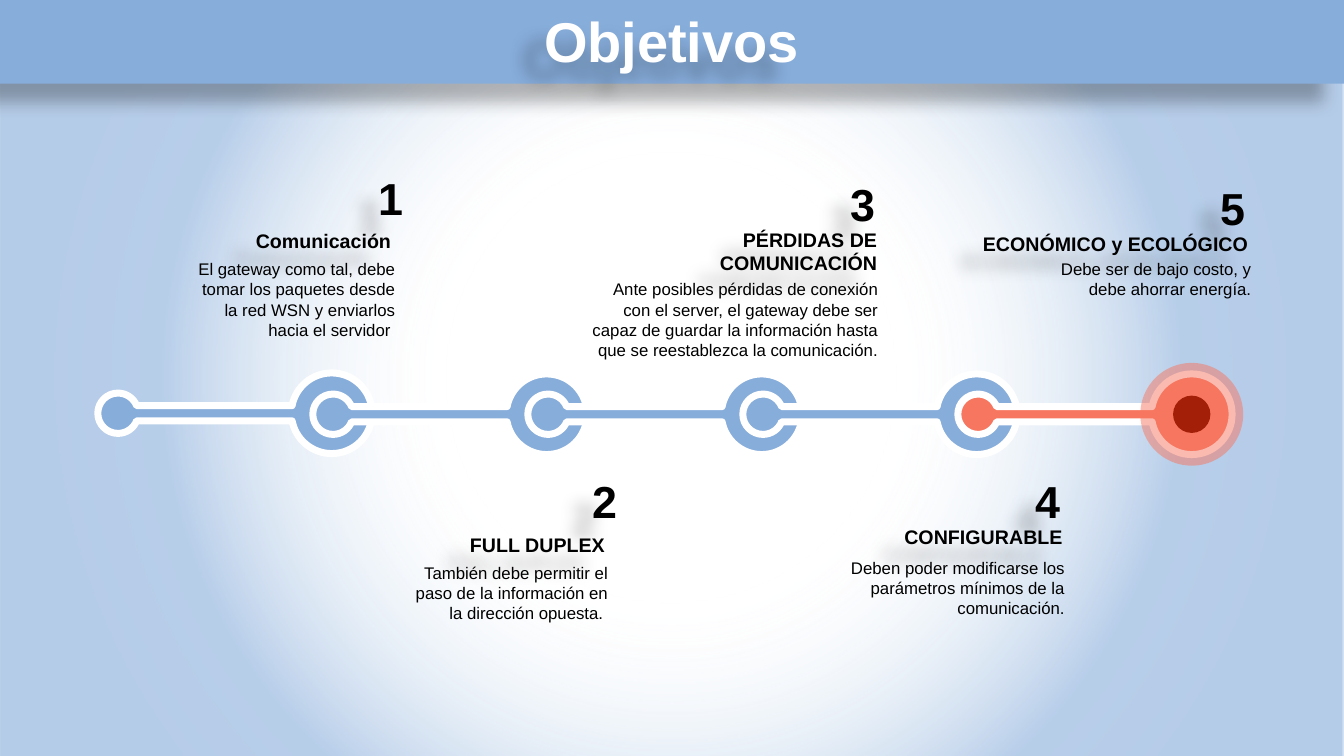
from math import asin, cos, pi, sin, tan

from pptx import Presentation
from pptx.dml.color import RGBColor
from pptx.enum.shapes import MSO_SHAPE as SHAPE
from pptx.enum.text import MSO_ANCHOR as ANCHOR, MSO_AUTO_SIZE as AUTO, PP_ALIGN as ALIGN
from pptx.oxml import parse_xml
from pptx.oxml.ns import nsdecls
from pptx.util import Inches, Pt

COLORS = {
    "pale": "F9FBFD",
    "blue": "87ADDB",
    "coral": "F77660",
    "dark_red": "A31F08",
    "white": "FFFFFF",
    "black": "000000",
}
FONT = "Arial"
HEADING_INSETS = (0.12, 0.05, 0.12, 0.05)
STEP = 8.53 / 4  # distance between timeline stages

# number, heading, body, white ending, heading box, number offset, body offset, body size
MILESTONES = [
    ("1", "Comunicación",
     "El gateway como tal, debe tomar los paquetes desde la red WSN y enviarlos hacia el servidor",
     ".", (1.82, 2.22, 2.18, 0.34), (0, -0.53), (0.03, 0.3), (2.17, 0.91)),
    ("2", "FULL DUPLEX",
     "También debe permitir el paso de la información en la dirección opuesta.",
     ".", (3.94, 5.24, 2.18, 0.34), (0, -0.54), (0.02, 0.29), (2.17, 0.71)),
    ("3", "PÉRDIDAS DE COMUNICACIÓN",
     "Ante posibles pérdidas de conexión con el server, el gateway debe ser capaz de "
     "guardar la información hasta que se reestablezca la comunicación.",
     "", (5.67, 2.21, 3.15, 0.74), (-0.14, -0.46), (0.01, 0.51), (3.13, 0.91)),
    ("4", "CONFIGURABLE",
     "Deben poder modificarse los parámetros mínimos de la comunicación.",
     "", (7.51, 5.16, 3.15, 0.34), (-0.14, -0.46), (0.02, 0.32), (3.13, 0.71)),
    ("5", "ECONÓMICO y ECOLÓGICO",
     "Debe ser de bajo costo, y debe ahorrar energía.",
     "", (9.35, 2.25, 3.15, 0.34), (-0.15, -0.46), (1.04, 0.27), (2.12, 0.5)),
]


def rgb(name):
    return RGBColor.from_string(COLORS[name])


def inches(box):
    return [Inches(v) for v in box]


def add_shadow(sp):
    sp.shadow.inherit = False
    effects = sp._element.spPr.find("{*}effectLst")
    effects.append(parse_xml(
        f'<a:outerShdw {nsdecls("a")} blurRad="{Pt(11.8)}" dist="{Pt(19.7)}" '
        f'dir="{141 * 60000}" algn="tr" rotWithShape="0"><a:srgbClr val="{COLORS["black"]}">'
        '<a:alpha val="28000"/></a:srgbClr></a:outerShdw>'))


def write_text(sp, text, size, color="black", bold=False, align=ALIGN.RIGHT,
               insets=(0.1, 0.05, 0.1, 0.05), shadow=False, ending=""):
    tf = sp.text_frame
    tf.word_wrap = True
    tf.auto_size = AUTO.SHAPE_TO_FIT_TEXT
    tf.vertical_anchor = ANCHOR.TOP
    tf.margin_left, tf.margin_top, tf.margin_right, tf.margin_bottom = inches(insets)
    p = tf.paragraphs[0]
    p.alignment = align
    for part, part_color in [(text, color), (ending, "white")]:
        if part:
            r = p.add_run()
            r.text = part
            r.font.name, r.font.size, r.font.bold = FONT, Pt(size), bold
            r.font.color.rgb = rgb(part_color)
    if shadow:
        add_shadow(sp)


def paint(sp, color, outline=None, width=5):
    sp.shadow.inherit = False
    sp.fill.solid()
    sp.fill.fore_color.rgb = rgb(color)
    if outline:
        sp.line.color.rgb = rgb(outline)
        sp.line.width = Pt(width)
    else:
        sp.line.fill.background()


def add_background(slide, box):
    sp = slide.shapes.add_shape(SHAPE.RECTANGLE, *inches(box))
    paint(sp, "blue")
    stops = "".join(
        f'<a:gs pos="{pos * 1000}"><a:srgbClr val="{COLORS[color]}">'
        f'<a:alpha val="{alpha * 1000}"/></a:srgbClr></a:gs>'
        for pos, color, alpha in [(29, "pale", 0), (66, "blue", 58), (80, "blue", 61)])
    grad = parse_xml(
        f'<a:gradFill {nsdecls("a")} rotWithShape="1"><a:gsLst>{stops}</a:gsLst>'
        '<a:path path="circle"><a:fillToRect l="50000" t="50000" r="50000" b="50000"/>'
        '</a:path></a:gradFill>')
    spPr = sp._element.spPr
    spPr.replace(spPr.find("{*}solidFill"), grad)


def add_header(slide, box):
    x, y, w, h = box
    banner = slide.shapes.add_shape(SHAPE.RECTANGLE, *inches(box))
    paint(banner, "blue")
    add_shadow(banner)
    # The title is raised above the banner
    title = slide.shapes.title
    slide.shapes._spTree.append(title._element)
    title.left, title.top, title.width, title.height = inches(
        (x + w / 2 - 2.69, y + 0.01, 5.37, h - 0.06))
    write_text(title, "Objetivos", 40, color="white", bold=True, align=ALIGN.CENTER,
               insets=HEADING_INSETS, shadow=True)


def arc(cx, cy, radius, half_bar, side):
    """Bezier points round a disc, leaving a gap where the bar joins it."""
    def point(t, pull=0):
        return (Inches(cx + side * radius * (cos(t) - pull * sin(t))),
                Inches(cy + side * radius * (sin(t) + pull * cos(t))))

    gap = asin(half_bar / radius)
    angles = [gap, pi / 2, pi, 3 * pi / 2, 2 * pi - gap]
    points = [point(gap)]
    for a, b in zip(angles, angles[1:]):
        pull = 4 / 3 * tan((b - a) / 4)
        points += [point(a, pull), point(b, -pull), point(b)]
    return points


def add_stage(slide, box, color):
    """Small disc, bar and large disc in one outline."""
    x, y, w, h = box
    cy, big, small, half_bar = y + h / 2, h / 2, 0.2, 0.075
    large_disc = arc(x + w - big, cy, big, half_bar, -1)
    small_disc = arc(x + small, cy, small, half_bar, 1)
    builder = slide.shapes.build_freeform(*large_disc[0], scale=1.0)
    builder.add_line_segments(large_disc[1:] + small_disc, close=True)
    sp = builder.convert_to_shape()
    # Each three points round a disc become one curve
    lines = sp._element.findall(".//{*}lnTo")
    bar = len(large_disc) - 1
    for disc in (lines[:bar], lines[bar + 1:]):
        for i in range(0, len(disc), 3):
            curve = parse_xml(f'<a:cubicBezTo {nsdecls("a")}/>')
            disc[i].addprevious(curve)
            for line in disc[i:i + 3]:
                curve.append(line[0])
                line.getparent().remove(line)
    paint(sp, color, outline="white")


def add_timeline(slide, box, count=5):
    x, y, w, h = box
    for i in range(count):
        top = y if i else y - 0.01
        add_stage(slide, (x + i * STEP, top, w, h), "coral" if i == count - 1 else "blue")
    # Target at the end of the line
    cx, cy = x + (count - 1) * STEP + w - h / 2, y + h / 2
    for diameter, color in [(1.02, "coral"), (0.37, "dark_red")]:
        corner = (cx - diameter / 2, cy - diameter / 2)
        sp = slide.shapes.add_shape(SHAPE.OVAL, *inches((*corner, diameter, diameter)))
        paint(sp, color)
        if color == "coral":
            clr = sp._element.spPr.find("{*}solidFill")[0]
            clr.append(parse_xml(f'<a:alpha {nsdecls("a")} val="50000"/>'))


def add_milestone(slide, box, number, heading, body, ending, number_at, body_at, body_size):
    x, y, w, h = box
    parts = [
        (body, (x + body_at[0], y + body_at[1], *body_size), dict(size=12, ending=ending)),
        (heading, box, dict(size=14, bold=True, insets=HEADING_INSETS, shadow=True)),
        (number, (x + number_at[0], y + number_at[1], w, 0.54),
         dict(size=32, bold=True, insets=(0.12, 0, 0, 0), shadow=True)),
    ]
    for text, place, style in parts:
        write_text(slide.shapes.add_textbox(*inches(place)), text, **style)


def main():
    prs = Presentation()
    prs.slide_width, prs.slide_height = Inches(13.33), Inches(7.5)
    slide = prs.slides.add_slide(prs.slide_layouts[5])
    add_background(slide, (0, 0, 13.33, 7.5))
    add_header(slide, (0, 0, 13.33, 0.83))
    add_timeline(slide, (0.97, 3.71, 2.72, 0.8))
    for number, heading, body, ending, box, *places in MILESTONES:
        add_milestone(slide, box, number, heading, body, ending, *places)
    prs.save("out.pptx")


if __name__ == "__main__":
    main()
